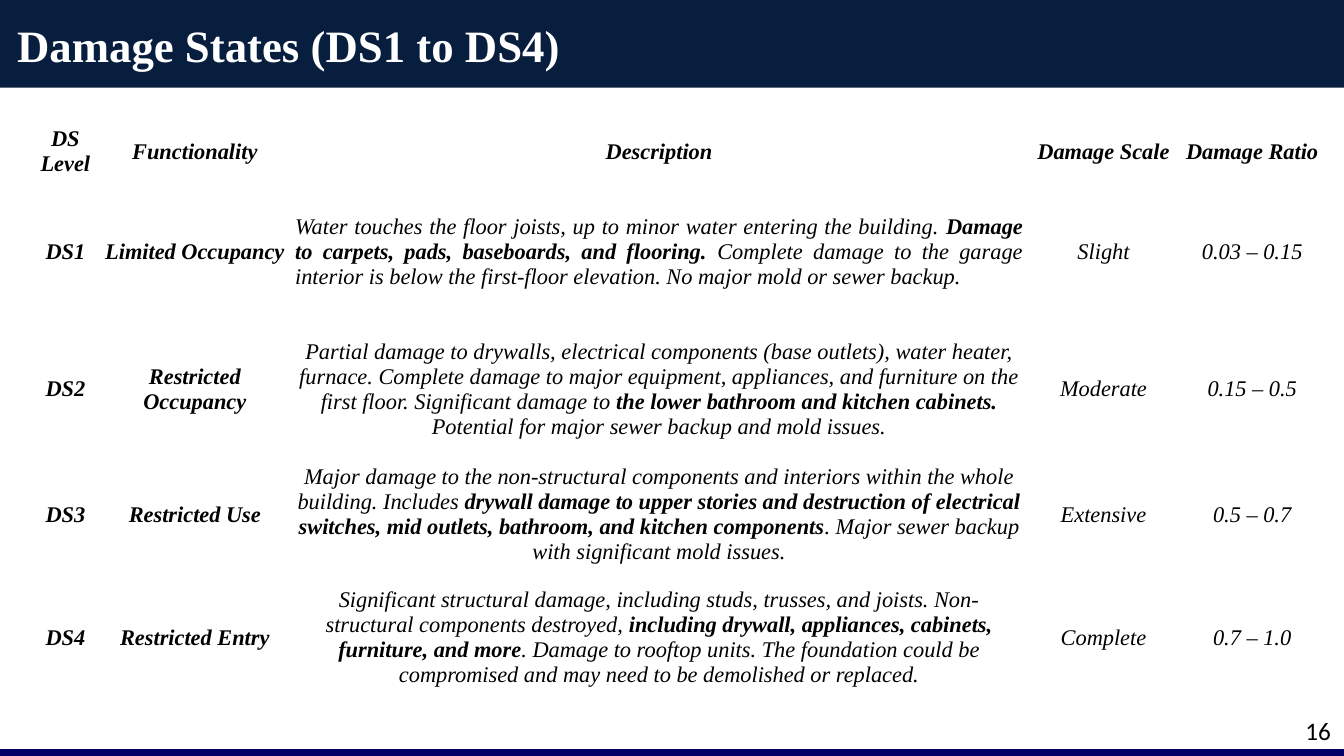
from lxml import etree
from pptx import Presentation
from pptx.dml.color import RGBColor
from pptx.enum import shapes, text
from pptx.oxml import ns
from pptx.util import Pt

NAVY = RGBColor(0x08, 0x1E, 0x3F)
RULE_BLUE = RGBColor(0x00, 0x00, 0x66)
WHITE = RGBColor(0xFF, 0xFF, 0xFF)
BLACK = RGBColor(0, 0, 0)
SERIF, SANS = "Times New Roman", "Calibri"
WIDTH, HEIGHT = 960, 540
CENTER, JUSTIFY = text.PP_ALIGN.CENTER, text.PP_ALIGN.JUSTIFY

HEADINGS = ["DS Level", "Functionality", "Description", "Damage Scale", "Damage Ratio"]
STATES = [
    ("DS1", "Limited Occupancy",
     ["Water touches the floor joists, up to minor water entering the building. ",
      "Damage to carpets, pads, baseboards, and flooring. ",
      "Complete damage to the garage interior is below the first-floor elevation. "
      "No major mold or sewer backup."],
     "Slight", "0.03 – 0.15"),
    ("DS2", "Restricted Occupancy",
     ["Partial damage to drywalls, electrical components (base outlets), water heater, furnace. "
      "Complete damage to major equipment, appliances, and furniture on the first floor. "
      "Significant damage to ",
      "the lower bathroom and kitchen cabinets. ",
      "Potential for major sewer backup and mold issues."],
     "Moderate", "0.15 – 0.5"),
    ("DS3", "Restricted Use",
     ["Major damage to the non-structural components and interiors within the whole building. "
      "Includes ",
      "drywall damage to upper stories and destruction of electrical switches, mid outlets, "
      "bathroom, and kitchen components",
      ". Major sewer backup with significant mold issues."],
     "Extensive", "0.5 – 0.7"),
    ("DS4", "Restricted Entry",
     ["Significant structural damage, including studs, trusses, and joists. "
      "Non-structural components destroyed, ",
      "including drywall, appliances, cabinets, furniture, and more",
      ". Damage to rooftop units. The foundation could be compromised and may need to be "
      "demolished or replaced."],
     "Complete", "0.7 – 1.0"),
]
COLUMN_WIDTHS = [47.5, 137.5, 525.6, 109.4, 103]
ROW_HEIGHTS = [39.6, 101.5, 95, 84.2, 91.4]


def add_run(paragraph, words, size, color, font=SERIF, bold=False, italic=False):
    run = paragraph.add_run()
    run.text = words
    run.font.name = font
    run.font.size = Pt(size)
    run.font.color.rgb = color
    run.font.bold = bold
    run.font.italic = italic


def set_insets(holder, side, end):
    holder.margin_left = holder.margin_right = Pt(side)
    holder.margin_top = holder.margin_bottom = Pt(end)


def add_header(slide, left, top, width, height):
    band = slide.shapes.add_shape(shapes.MSO_SHAPE.RECTANGLE,
                                  Pt(left), Pt(top), Pt(width), Pt(height))
    band.shadow.inherit = False
    band.fill.solid()
    band.fill.fore_color.rgb = NAVY
    band.line.fill.background()
    slide.shapes._spTree.insert(2, band._element)

    title = slide.shapes.title
    title.left, title.top = Pt(left + 5), Pt(top + 10)
    title.width, title.height = Pt(782), Pt(46)
    frame = title.text_frame
    frame.word_wrap = True
    frame.auto_size = text.MSO_AUTO_SIZE.SHAPE_TO_FIT_TEXT
    frame.vertical_anchor = text.MSO_ANCHOR.TOP
    set_insets(frame, 7.2, 3.6)
    heading = frame.paragraphs[0]
    heading.alignment = text.PP_ALIGN.LEFT
    add_run(heading, "Damage States (DS1 to DS4)", 32, WHITE, bold=True)


def add_footer(slide, left, top, width, height):
    rule_y = top + height - 2.2
    rule = slide.shapes.add_connector(shapes.MSO_CONNECTOR.STRAIGHT,
                                      Pt(left), Pt(rule_y), Pt(left + width), Pt(rule_y))
    rule.line.color.rgb = RULE_BLUE
    rule.line.width = Pt(6)
    etree.SubElement(rule._element.spPr, ns.qn("a:effectLst"))

    number_width = 34.6
    page_number = slide.shapes.add_textbox(Pt(left + width - number_width), Pt(top),
                                           Pt(number_width), Pt(29))
    frame = page_number.text_frame
    frame.word_wrap = True
    set_insets(frame, 7.2, 3.6)
    add_run(frame.paragraphs[0], "16", 18, BLACK, font=SANS)


def fill_cell(cell, pieces, alignment=CENTER):
    cell.fill.background()
    cell.vertical_anchor = text.MSO_ANCHOR.MIDDLE
    set_insets(cell, 2.9, 1.4)
    paragraph = cell.text_frame.paragraphs[0]
    paragraph.alignment = alignment
    for words, bold in pieces:
        add_run(paragraph, words, 16, BLACK, bold=bold, italic=True)


def add_damage_table(slide, left, top, width, height):
    table = slide.shapes.add_table(len(STATES) + 1, len(HEADINGS),
                                   Pt(left), Pt(top), Pt(width), Pt(height)).table
    table.first_row = table.horz_banding = False
    for column, column_width in zip(table.columns, COLUMN_WIDTHS):
        column.width = Pt(column_width)
    for row, row_height in zip(table.rows, ROW_HEIGHTS):
        row.height = Pt(row_height)
    for col, heading in enumerate(HEADINGS):
        fill_cell(table.cell(0, col), [(heading, True)])
    for row, (level, functionality, description, scale, ratio) in enumerate(STATES, 1):
        fill_cell(table.cell(row, 0), [(level, True)])
        fill_cell(table.cell(row, 1), [(functionality, True)])
        fill_cell(table.cell(row, 2), zip(description, (False, True, False)),
                  JUSTIFY if row == 1 else CENTER)
        fill_cell(table.cell(row, 3), [(scale, False)])
        fill_cell(table.cell(row, 4), [(ratio, False)])


def main():
    deck = Presentation()
    deck.slide_width, deck.slide_height = Pt(WIDTH), Pt(HEIGHT)
    slide = deck.slides.add_slide(deck.slide_layouts[5])
    add_header(slide, 0, -0.7, WIDTH, 63.4)
    add_footer(slide, 0, 507.6, WIDTH, HEIGHT - 507.6)
    add_damage_table(slide, 23, 87.8, sum(COLUMN_WIDTHS), sum(ROW_HEIGHTS))
    deck.save("out.pptx")


if __name__ == "__main__":
    main()
